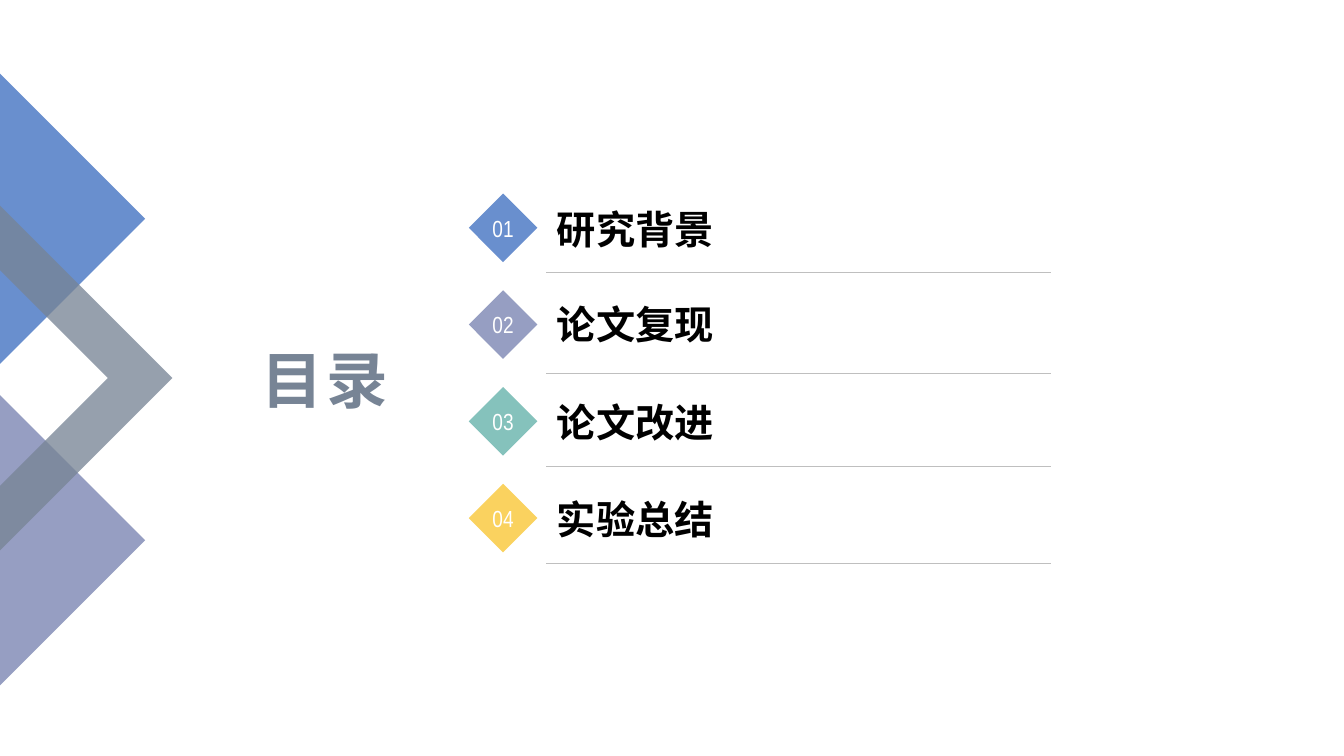
from lxml import etree
from pptx import Presentation
from pptx.dml.color import RGBColor
from pptx.enum.shapes import MSO_CONNECTOR, MSO_SHAPE
from pptx.enum.text import MSO_ANCHOR, MSO_AUTO_SIZE, PP_ALIGN
from pptx.oxml.ns import qn
from pptx.util import Inches, Pt

DIAMOND = MSO_SHAPE.DIAMOND
STRAIGHT = MSO_CONNECTOR.STRAIGHT
LEFT, CENTER, RIGHT = PP_ALIGN.LEFT, PP_ALIGN.CENTER, PP_ALIGN.RIGHT
MIDDLE, BOTTOM = MSO_ANCHOR.MIDDLE, MSO_ANCHOR.BOTTOM
NO_FIT = MSO_AUTO_SIZE.NONE
TITLE_ONLY = 5

BLUE, LAVENDER, TEAL, YELLOW = "698FCE", "969EC2", "85C2BC", "FAD25F"
SLATE, RULE_GRAY, BLACK, WHITE = "778495", "BFBFBF", "000000", "FFFFFF"

HEADING = {"name": "Arial", "size": Pt(44), "bold": True}
TOPIC = {"name": "Arial", "size": Pt(28), "bold": True}
NUMBER = {"name": "Arial Narrow", "size": Pt(16.6), "bold": False}

# Number colour, topic, topic top, topic width, rule height
CHAPTERS = [
    (BLUE, "研究背景", 26.13, 58.06, 36),
    (LAVENDER, "论文复现", 38.67, 39.91, 49.33),
    (TEAL, "论文改进", 51.73, 52.81, 61.73),
    (YELLOW, "实验总结", 64.53, 52.81, 74.53),
]
FIRST_ROW, ROW_PITCH = 25.6, 12.8


def color(value):
    return RGBColor.from_string(value)


class ContentsSlide:
    """Draws on a grid of 100 columns by 100 rows."""

    def __init__(self, deck):
        self.column = deck.slide_width / 100
        self.row = deck.slide_height / 100
        self.slide = deck.slides.add_slide(deck.slide_layouts[TITLE_ONLY])
        self.shapes = self.slide.shapes

    def place(self, x, y):
        return round(x * self.column), round(y * self.row)

    def paint(self, shape, fill):
        shape.shadow.inherit = False
        shape.fill.solid()
        shape.fill.fore_color.rgb = color(fill)
        shape.line.fill.background()

    def set_text(self, shape, text, style, ink, align, anchor, wrap=True):
        frame = shape.text_frame
        frame.auto_size = NO_FIT
        frame.word_wrap = wrap
        frame.vertical_anchor = anchor
        paragraph = frame.paragraphs[0]
        paragraph.alignment = align
        run = paragraph.add_run()
        run.text = text
        for attribute, value in style.items():
            setattr(run.font, attribute, value)
        run.font.color.rgb = color(ink)
        return run

    def title(self, text, box, right_inset):
        heading = self.shapes.title
        heading.left, heading.top = self.place(*box[:2])
        heading.width, heading.height = self.place(*box[2:])
        heading.text_frame.margin_right = round(right_inset * self.column)
        run = self.set_text(heading, text, HEADING, SLATE, RIGHT, MIDDLE)
        run.font._element.set("spc", "300")

    def outline(self, points, fill, opacity=100):
        start, *rest = [self.place(*point) for point in points]
        builder = self.shapes.build_freeform(*start)
        builder.add_line_segments(rest, close=True)
        panel = builder.convert_to_shape()
        self.paint(panel, fill)
        if opacity < 100:
            tint = panel._element.spPr.find(qn("a:solidFill"))[0]
            etree.SubElement(tint, qn("a:alpha")).set("val", str(opacity * 1000))

    def number(self, text, top, fill):
        badge = self.shapes.add_shape(
            DIAMOND, *self.place(34.88, top), *self.place(5.1, 9.07))
        self.paint(badge, fill)
        self.set_text(badge, text, NUMBER, WHITE, CENTER, MIDDLE, wrap=False)

    def topic(self, text, top, width):
        label = self.shapes.add_textbox(
            *self.place(40.7, top), *self.place(width, 7.87))
        self.set_text(label, text, TOPIC, BLACK, LEFT, BOTTOM)

    def rule(self, y):
        divider = self.shapes.add_connector(
            STRAIGHT, *self.place(40.66, y), *self.place(78.17, y))
        divider.line.color.rgb = color(RULE_GRAY)
        divider.line.width = Pt(0.25)
        etree.SubElement(divider._element.spPr, qn("a:effectLst"))


def main():
    deck = Presentation()
    deck.slide_width, deck.slide_height = Inches(13.33), Inches(7.5)
    contents = ContentsSlide(deck)

    # Half diamonds and translucent chevron on the left edge
    for middle, fill in ((71.47, LAVENDER), (28.93, BLUE)):
        contents.outline(
            [(0, middle - 19.2), (10.8, middle), (0, middle + 19.2)], fill)
    contents.outline(
        [(12.83, 50), (0, 72.8), (0, 64.27), (8.03, 50), (0, 35.73), (0, 27.2)],
        SLATE, opacity=77)

    # Heading
    contents.title("目录", (8.63, 43.33, 30.68, 13.47), right_inset=10.4)

    # Chapter list
    for index, (fill, topic, top, width, rule) in enumerate(CHAPTERS):
        contents.number(f"{index + 1:02}", FIRST_ROW + index * ROW_PITCH, fill)
        contents.topic(topic, top, width)
        contents.rule(rule)

    deck.save("out.pptx")


if __name__ == "__main__":
    main()
